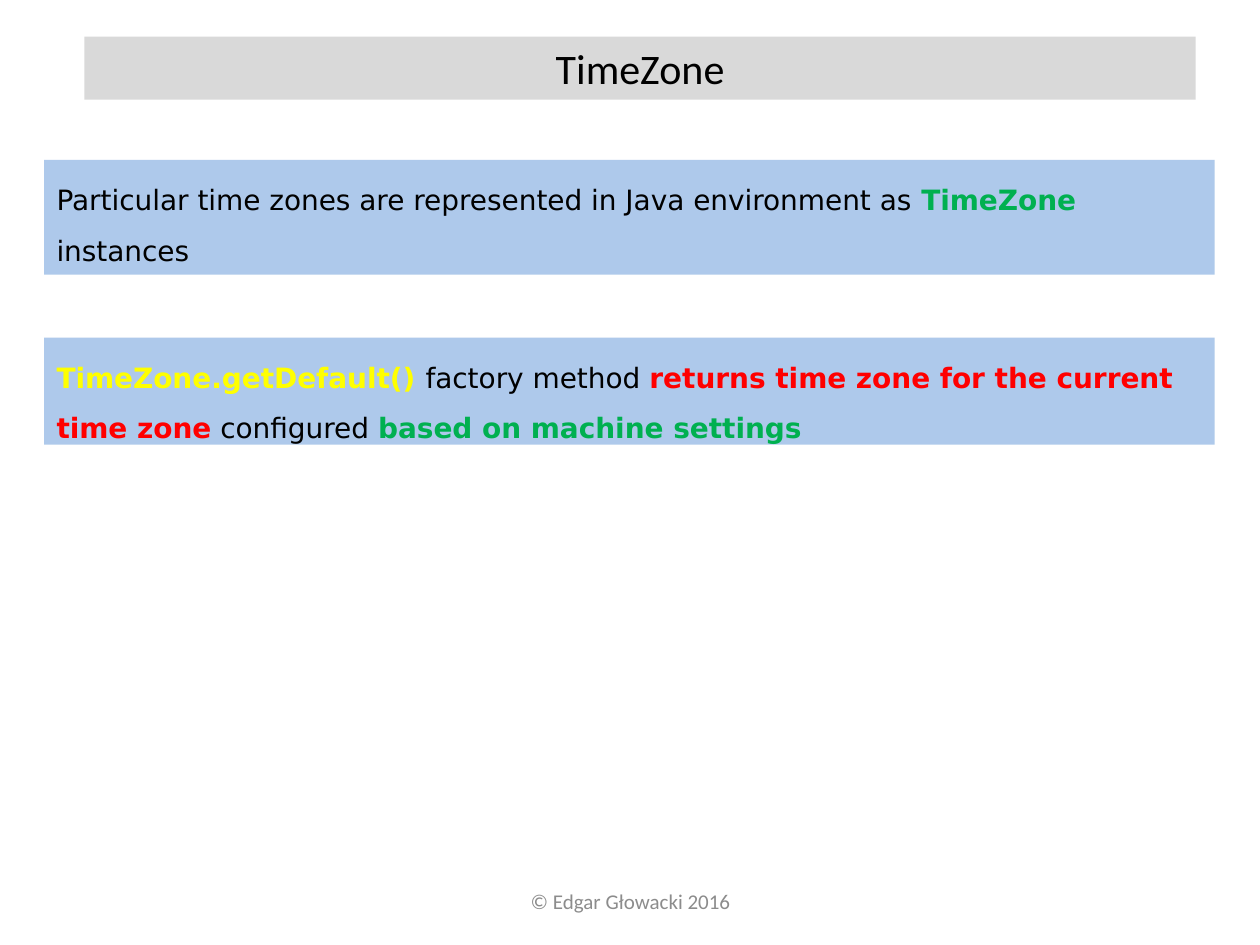
from dataclasses import dataclass
from typing import NamedTuple

import pptx
import pptx.dml.color
import pptx.enum.shapes
import pptx.enum.text
import pptx.oxml
import pptx.oxml.ns
import pptx.util

Align = pptx.enum.text.PP_ALIGN
Anchor = pptx.enum.text.MSO_ANCHOR


@dataclass(frozen=True)
class Theme:
    head: str = "Calibri"
    body: str = "DejaVu Sans"
    title_size: int = 24
    body_size: int = 16
    foot_size: int = 12
    black: str = "000000"
    gray: str = "8C8C8C"
    band: str = "D9D9D9"
    panel: str = "8EB4E3"
    opacity: int = 71
    green: str = "00B050"
    yellow: str = "FFFF00"
    red: str = "FF0000"


class Box(NamedTuple):
    """Left, top, width and height in percent of the slide."""
    left: float
    top: float
    width: float
    height: float


class Run(NamedTuple):
    text: str
    color: str = Theme.black
    bold: bool = False


class Panel(NamedTuple):
    box: Box
    runs: list[Run]


THEME = Theme()
WIDTH = pptx.util.Inches(10)
HEIGHT = pptx.util.Inches(7.5)

TITLE = Box(6.7, 3.87, 88.2, 6.67)
FOOTER = Box(34.2, 92.67, 31.7, 5.33)
PANELS = [
    Panel(Box(3.5, 16.93, 92.9, 12.13), [
        Run("Particular time zones are represented in Java environment as "),
        Run("TimeZone", THEME.green, True),
        Run(" instances"),
    ]),
    Panel(Box(3.5, 35.73, 92.9, 11.33), [
        Run("TimeZone.getDefault() ", THEME.yellow, True),
        Run("factory method "),
        Run("returns time zone for the current time zone", THEME.red, True),
        Run(" configured "),
        Run("based on machine settings", THEME.green, True),
    ]),
]


def place(box: Box) -> tuple[int, int, int, int]:
    """Turn percent shares into slide lengths."""
    return (round(WIDTH * box.left / 100), round(HEIGHT * box.top / 100),
            round(WIDTH * box.width / 100), round(HEIGHT * box.height / 100))


def rgb(code: str) -> pptx.dml.color.RGBColor:
    return pptx.dml.color.RGBColor.from_string(code)


def paint(shape, color: str, opacity: int = 100) -> None:
    shape.fill.solid()
    shape.fill.fore_color.rgb = rgb(color)
    if opacity < 100:
        tint = shape.fill._xPr.find(".//" + pptx.oxml.ns.qn("a:srgbClr"))
        alpha = pptx.oxml.parse_xml(
            f'<a:alpha {pptx.oxml.ns.nsdecls("a")} val="{opacity * 1000}"/>')
        tint.append(alpha)


def write(shape, runs: list[Run], *, font: str, size: int, align=Align.LEFT,
          anchor=Anchor.TOP, spacing: float = 1.0) -> None:
    frame = shape.text_frame
    frame.word_wrap = True
    frame.auto_size = pptx.enum.text.MSO_AUTO_SIZE.NONE
    frame.vertical_anchor = anchor
    para = frame.paragraphs[0]
    para.alignment = align
    para.line_spacing = spacing
    for item in runs:
        run = para.add_run()
        run.text = item.text
        run.font.name = font
        run.font.size = pptx.util.Pt(size)
        run.font.bold = item.bold
        run.font.color.rgb = rgb(item.color)


def add_title(slide, text: str) -> None:
    title = slide.shapes.title
    title.left, title.top, title.width, title.height = place(TITLE)
    paint(title, THEME.band)
    write(title, [Run(text)], font=THEME.head, size=THEME.title_size,
          align=Align.CENTER)


def add_panel(slide, panel: Panel) -> None:
    shape = slide.shapes.add_shape(
        pptx.enum.shapes.MSO_SHAPE.RECTANGLE, *place(panel.box))
    shape.shadow.inherit = False
    shape.line.fill.background()
    paint(shape, THEME.panel, THEME.opacity)
    write(shape, panel.runs, font=THEME.body, size=THEME.body_size, spacing=1.5)


def add_footer(slide, text: str) -> None:
    shape = slide.shapes.add_textbox(*place(FOOTER))
    write(shape, [Run(text, THEME.gray)], font=THEME.head,
          size=THEME.foot_size, align=Align.CENTER, anchor=Anchor.MIDDLE)


def main() -> None:
    deck = pptx.Presentation()
    deck.slide_width, deck.slide_height = WIDTH, HEIGHT
    slide = deck.slides.add_slide(deck.slide_layouts.get_by_name("Title Only"))
    add_title(slide, "TimeZone")
    for panel in PANELS:
        add_panel(slide, panel)
    add_footer(slide, "© Edgar Głowacki 2016")
    deck.save("out.pptx")


if __name__ == "__main__":
    main()
